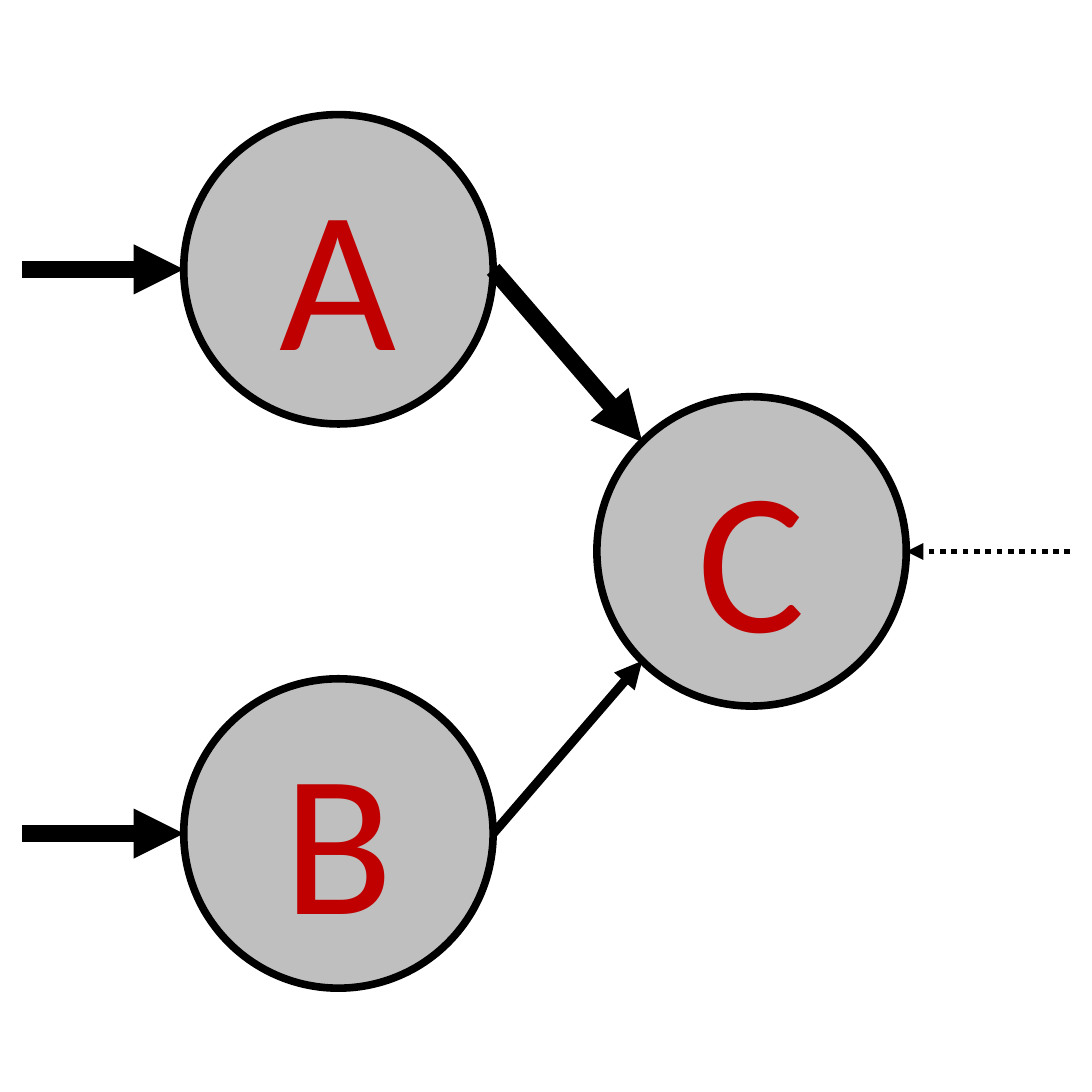
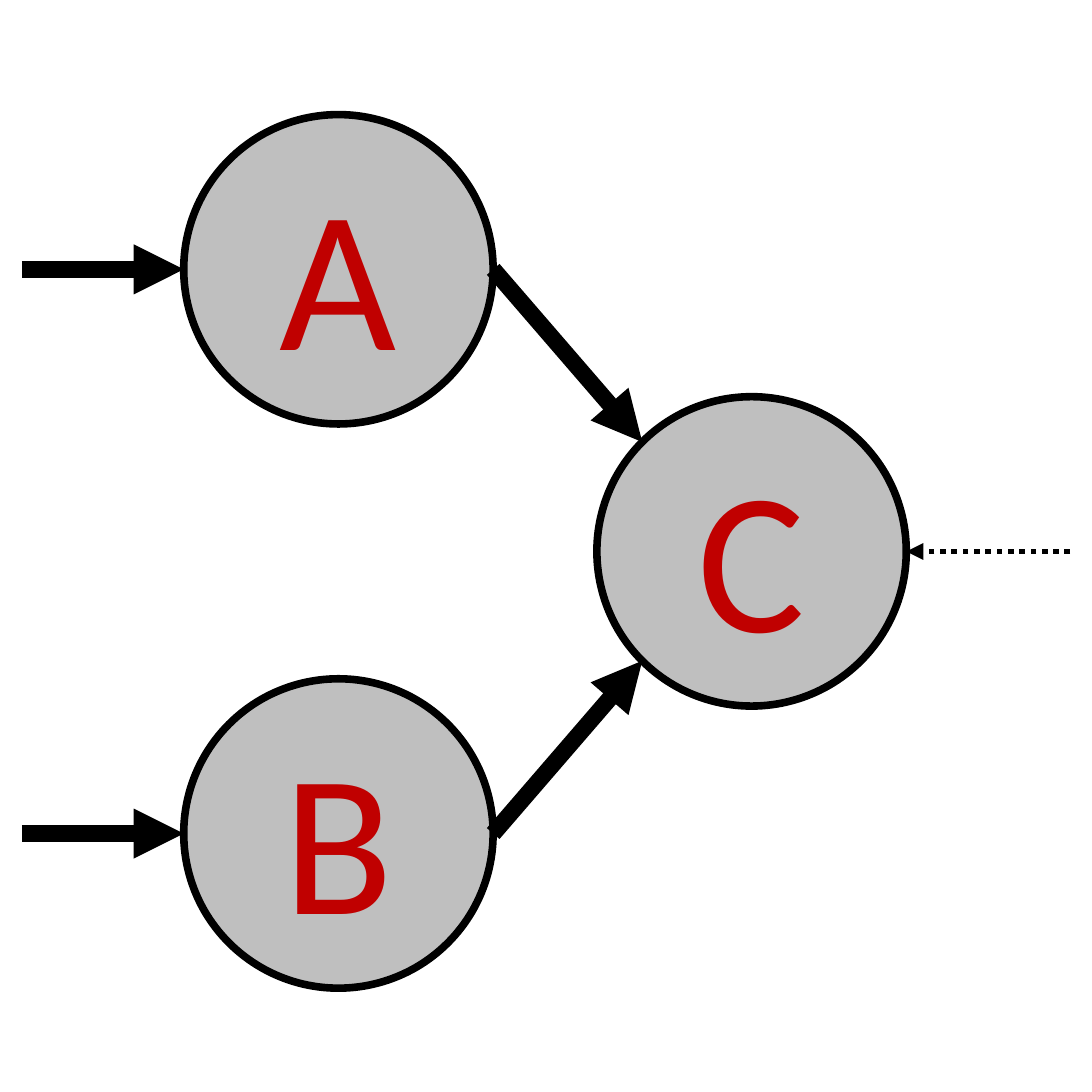
import math

import pptx
import pptx.dml.color
import pptx.enum.dml
import pptx.enum.shapes
import pptx.enum.text
import pptx.oxml
import pptx.oxml.ns
import pptx.util

BLACK = pptx.dml.color.RGBColor(0x00, 0x00, 0x00)
GREY = pptx.dml.color.RGBColor(0xBF, 0xBF, 0xBF)
RED = pptx.dml.color.RGBColor(0xC0, 0x00, 0x00)

SIDE = pptx.util.Inches(6)
GRID = 60
DIAMETER = 17
RADIUS = DIAMETER / 2
DIAGONAL = RADIUS * math.sqrt(0.5)
MARGIN = 1.2
INPUT_COLUMN, OUTPUT_COLUMN = 18.6, 41.3
MIDDLE_ROW, ROW_OFFSET = 30.3, 15.5
STRONG, MEDIUM, WEAK = 6.6, 3.6, 2.25


def place(box, column, row):
    """Return the slide position of a grid point inside a box."""
    left, top, width, height = box
    return int(left + width * column / GRID), int(top + height * row / GRID)


def add_neuron(slide, box, letter, column, row):
    """Draw a lettered circle centred on a grid point."""
    left, top = place(box, column - RADIUS, row - RADIUS)
    right, bottom = place(box, column + RADIUS, row + RADIUS)
    neuron = slide.shapes.add_shape(
        pptx.enum.shapes.MSO_SHAPE.OVAL, left, top, right - left, bottom - top)
    neuron.shadow.inherit = False
    neuron.fill.solid()
    neuron.fill.fore_color.rgb = GREY
    neuron.line.color.rgb = BLACK
    neuron.line.width = pptx.util.Pt(3)
    frame = neuron.text_frame
    frame.vertical_anchor = pptx.enum.text.MSO_ANCHOR.MIDDLE
    paragraph = frame.paragraphs[0]
    paragraph.alignment = pptx.enum.text.PP_ALIGN.CENTER
    run = paragraph.add_run()
    run.text = letter
    run.font.name = "Calibri"
    run.font.size = pptx.util.Pt(80)
    run.font.color.rgb = RED


def add_signal(slide, box, start, end, strength, dash=None):
    """Draw an arrow whose weight shows the strength of a signal."""
    signal = slide.shapes.add_connector(
        pptx.enum.shapes.MSO_CONNECTOR.STRAIGHT, *place(box, *start), *place(box, *end))
    signal.line.color.rgb = BLACK
    signal.line.width = pptx.util.Pt(strength)
    if dash is not None:
        signal.line.dash_style = dash
    arrowhead = pptx.oxml.parse_xml(
        f'<a:tailEnd {pptx.oxml.ns.nsdecls("a")} type="triangle"/>')
    signal.line._get_or_add_ln().append(arrowhead)
    no_effects = pptx.oxml.parse_xml(f'<a:effectLst {pptx.oxml.ns.nsdecls("a")}/>')
    signal._element.spPr.append(no_effects)


def add_network(slide, box, synapses):
    """Draw inputs A and B feeding C, with one synapse strength per input."""
    inputs = [("A", -1), ("B", 1)]
    for letter, direction in inputs:
        add_neuron(slide, box, letter, INPUT_COLUMN, MIDDLE_ROW + direction * ROW_OFFSET)
    add_neuron(slide, box, "C", OUTPUT_COLUMN, MIDDLE_ROW)
    for (letter, direction), synapse in zip(inputs, synapses):
        row = MIDDLE_ROW + direction * ROW_OFFSET
        add_signal(slide, box, (MARGIN, row), (INPUT_COLUMN - RADIUS, row), STRONG)
        target = OUTPUT_COLUMN - DIAGONAL, MIDDLE_ROW + direction * DIAGONAL
        add_signal(slide, box, (INPUT_COLUMN + RADIUS, row), target, synapse)
    add_signal(slide, box, (GRID - MARGIN, MIDDLE_ROW), (OUTPUT_COLUMN + RADIUS, MIDDLE_ROW),
               WEAK, pptx.enum.dml.MSO_LINE.ROUND_DOT)


def main():
    """Build one slide for each set of synapse strengths."""
    deck = pptx.Presentation()
    deck.slide_width = deck.slide_height = SIDE
    for synapses in [(STRONG, MEDIUM), (STRONG, STRONG)]:
        slide = deck.slides.add_slide(deck.slide_layouts[6])
        add_network(slide, (0, 0, SIDE, SIDE), synapses)
    deck.save("out.pptx")


if __name__ == "__main__":
    main()
